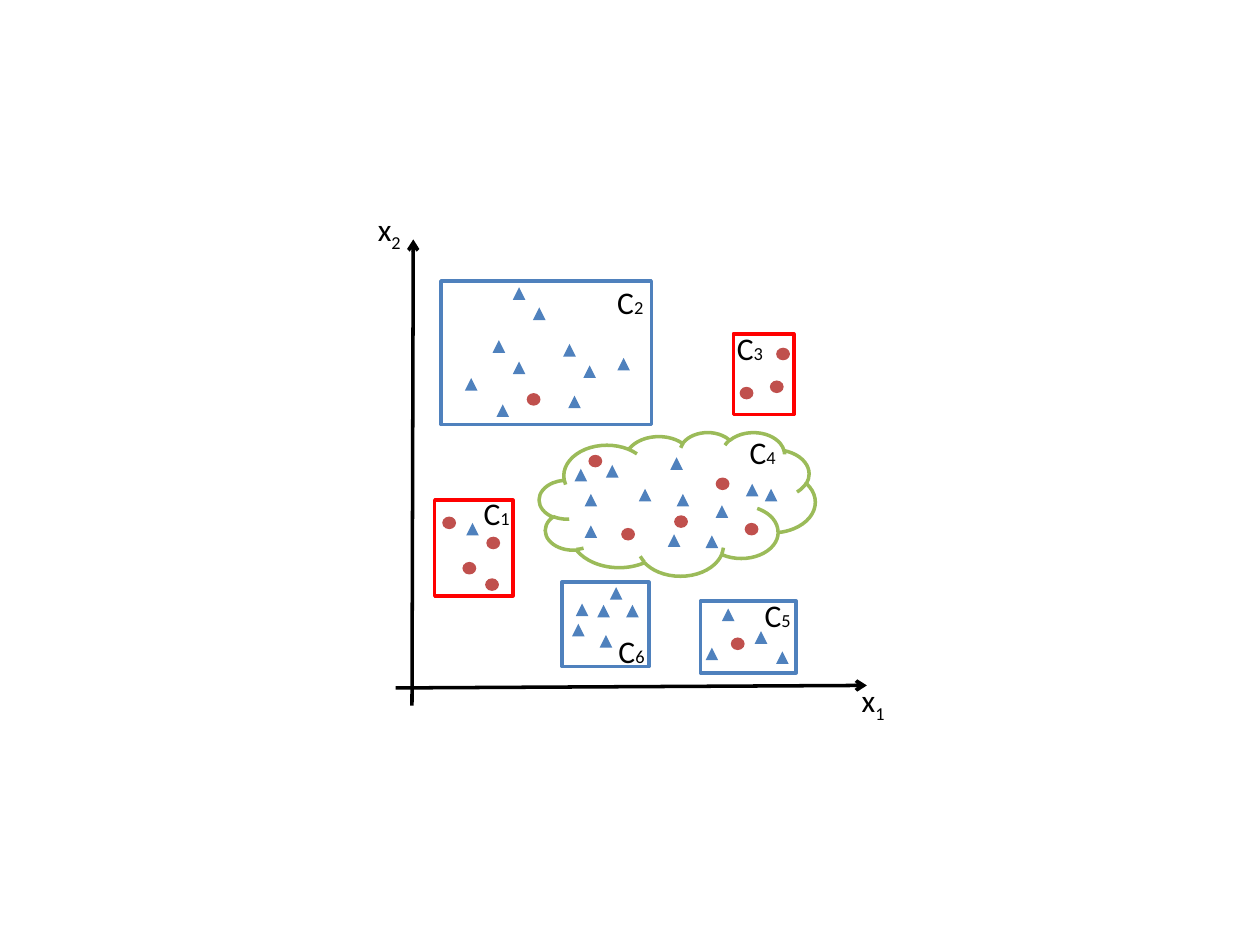
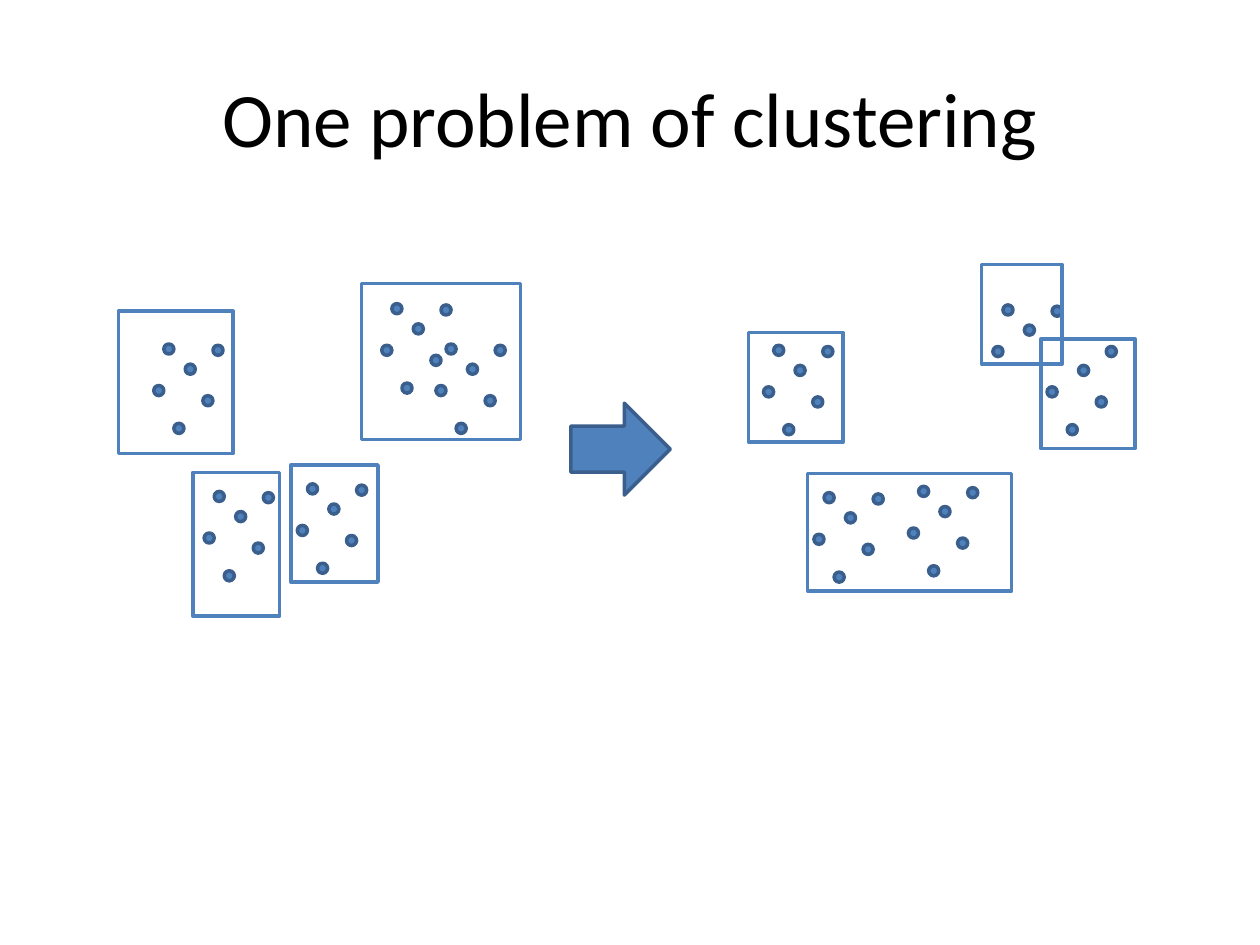
from pptx import Presentation
from pptx import util as u
from pptx.dml.color import RGBColor
from pptx.enum import shapes, text
from pptx.oxml.ns import qn
from lxml import etree

BLUE = RGBColor(0x4F, 0x81, 0xBD)
NAVY = RGBColor(0x3A, 0x5F, 0x8C)
BRICK = RGBColor(0xC0, 0x50, 0x4D)
RED = RGBColor(0xFF, 0x00, 0x00)
GREEN = RGBColor(0x9B, 0xBB, 0x59)
BLACK = RGBColor(0, 0, 0)
FONT = "Calibri"
LINE = 2
KIND = shapes.MSO_SHAPE

# Slide 1: clusters with outline, label place, triangles and circles
CLUSTERS = [
    dict(num="1", form=KIND.RECTANGLE, hue=RED,
         box=(3.45, 3.97, 0.62, 0.76), label=(3.74, 3.87),
         tris=[(3.7, 4.15)],
         dots=[(3.51, 4.1), (3.86, 4.26), (3.85, 4.59), (3.67, 4.46)]),
    dict(num="2", form=KIND.RECTANGLE, hue=BLUE,
         box=(3.5, 2.23, 1.67, 1.14), label=(4.8, 2.2),
         tris=[(3.69, 3), (4.51, 3.14), (3.94, 3.21), (4.9, 2.84),
               (4.07, 2.28), (3.91, 2.7), (4.47, 2.73), (4.23, 2.44),
               (4.07, 2.87), (4.63, 2.9)],
         dots=[(4.18, 3.12)]),
    dict(num="3", form=KIND.RECTANGLE, hue=RED,
         box=(5.82, 2.65, 0.48, 0.64), label=(5.75, 2.56),
         tris=[],
         dots=[(5.87, 3.07), (6.16, 2.76), (6.11, 3.02)]),
    dict(num="4", form=KIND.CLOUD, hue=GREEN,
         box=(4.28, 3.43, 2.19, 1.14), label=(5.85, 3.39),
         tris=[(4.64, 3.92), (5.6, 4.25), (5.07, 3.88), (6.07, 3.88),
               (4.56, 3.72), (4.64, 4.17), (5.68, 4.01), (4.81, 3.69),
               (5.37, 3.92), (5.3, 4.24), (5.32, 3.63), (5.92, 3.84)],
         dots=[(4.67, 3.61), (5.68, 3.79), (5.35, 4.09), (4.93, 4.19),
               (5.91, 4.15)]),
    dict(num="5", form=KIND.RECTANGLE, hue=BLUE,
         box=(5.56, 4.77, 0.76, 0.57), label=(5.97, 4.68),
         tris=[(5.99, 5.01), (5.73, 4.83), (5.6, 5.14), (6.16, 5.17)],
         dots=[(5.8, 5.06)]),
    dict(num="6", form=KIND.RECTANGLE, hue=BLUE,
         box=(4.46, 4.62, 0.69, 0.67), label=(4.81, 4.97),
         tris=[(4.84, 4.66), (4.54, 4.95), (4.57, 4.79), (4.76, 5.04),
               (4.97, 4.8), (4.74, 4.8)],
         dots=[]),
]
# Axes: start, end, number and label place
AXES = [
    ((3.14, 5.46), (6.88, 5.44), "1", (6.74, 5.36)),
    ((3.27, 5.6), (3.28, 1.9), "2", (2.9, 1.62)),
]

# Slide 2: one six-dot swarm, set down many times
TITLE = "One problem of clustering"
SWARM = [(0, 0), (0.17, 0.16), (-0.08, 0.33), (0.39, 0.01),
         (0.08, 0.63), (0.31, 0.41)]
WHOLE = slice(None)
SWARMS = [  # left, top, dots used
    (1.3, 2.73, WHOLE), (1.7, 3.9, WHOLE), (2.44, 3.84, WHOLE),
    (3.11, 2.41, WHOLE), (3.54, 2.73, WHOLE),
    (6.14, 2.74, WHOLE), (6.54, 3.91, WHOLE), (7.29, 3.86, WHOLE),
    (7.96, 2.42, slice(0, 4)), (8.39, 2.74, slice(1, 6)),
]
FRAMES = [
    (0.94, 2.47, 0.91, 1.13), (2.87, 2.25, 1.26, 1.24),
    (1.53, 3.75, 0.69, 1.14), (2.31, 3.69, 0.69, 0.93),
    (5.94, 2.64, 0.75, 0.87), (7.79, 2.1, 0.64, 0.79),
    (8.26, 2.69, 0.75, 0.87), (6.41, 3.76, 1.62, 0.93),
]
ARROW = (4.53, 3.2, 0.79, 0.73)


def inches(vals):
    return [u.Inches(v) for v in vals]


def add_form(slide, form, box, fill=None, line=None):
    shape = slide.shapes.add_shape(form, *inches(box))
    shape.shadow.inherit = False
    if fill is None:
        shape.fill.background()
    else:
        shape.fill.solid()
        shape.fill.fore_color.rgb = fill
    if line is None:
        shape.line.fill.background()
    else:
        shape.line.color.rgb = line
        shape.line.width = u.Pt(LINE)


def add_run(para, words, size, base=None):
    run = para.add_run()
    run.text = words
    run.font.size = u.Pt(size)
    run.font.name = FONT
    run.font.color.rgb = BLACK
    if base:
        run.font._element.set("baseline", str(base * 1000))


def add_label(slide, spot, name, num, wide, size, base=None, wrap=True):
    box = slide.shapes.add_textbox(*inches((*spot, wide, 0.4)))
    frame = box.text_frame
    frame.word_wrap = wrap
    frame.auto_size = text.MSO_AUTO_SIZE.SHAPE_TO_FIT_TEXT
    para = frame.paragraphs[0]
    add_run(para, name, 18)
    add_run(para, num, size, base)


def add_axis(slide, start, end):
    axis = slide.shapes.add_connector(
        shapes.MSO_CONNECTOR.STRAIGHT, *inches((*start, *end)))
    axis.line.color.rgb = BLACK
    axis.line.width = u.Pt(LINE)
    etree.SubElement(axis.line._get_or_add_ln(), qn("a:tailEnd"), type="arrow")
    etree.SubElement(axis._element.spPr, qn("a:effectLst"))


def draw_plot(slide):
    # Axes
    for start, end, num, spot in AXES:
        add_axis(slide, start, end)
        add_label(slide, spot, "x", num, 0.4, 18, base=-25, wrap=False)
    # Clusters
    for group in CLUSTERS:
        for spot in group["tris"]:
            add_form(slide, KIND.FLOWCHART_EXTRACT, (*spot, 0.1, 0.1), BLUE)
        for spot in group["dots"]:
            add_form(slide, KIND.OVAL, (*spot, 0.11, 0.1), BRICK)
        add_form(slide, group["form"], group["box"], line=group["hue"])
        add_label(slide, group["label"], "C", group["num"], 0.42, 10.5)


def draw_problem(slide):
    # Title
    title = slide.shapes.title
    title.left, title.top, title.width, title.height = inches((0.5, 0.3, 9, 1.25))
    title.text_frame.vertical_anchor = text.MSO_ANCHOR.MIDDLE
    para = title.text_frame.paragraphs[0]
    para.alignment = text.PP_ALIGN.CENTER
    add_run(para, TITLE, 44)
    # Dots, arrow and frames
    for left, top, used in SWARMS:
        for dx, dy in SWARM[used]:
            add_form(slide, KIND.OVAL, (left + dx, top + dy, 0.08, 0.08),
                     BLUE, NAVY)
    add_form(slide, KIND.RIGHT_ARROW, ARROW, BLUE, NAVY)
    for box in FRAMES:
        add_form(slide, KIND.RECTANGLE, box, line=BLUE)


def main():
    deck = Presentation()
    deck.slide_width, deck.slide_height = inches((10, 7.5))
    blank, titled = deck.slide_layouts[6], deck.slide_layouts[5]
    draw_plot(deck.slides.add_slide(blank))
    draw_problem(deck.slides.add_slide(titled))
    deck.save("out.pptx")


if __name__ == "__main__":
    main()
